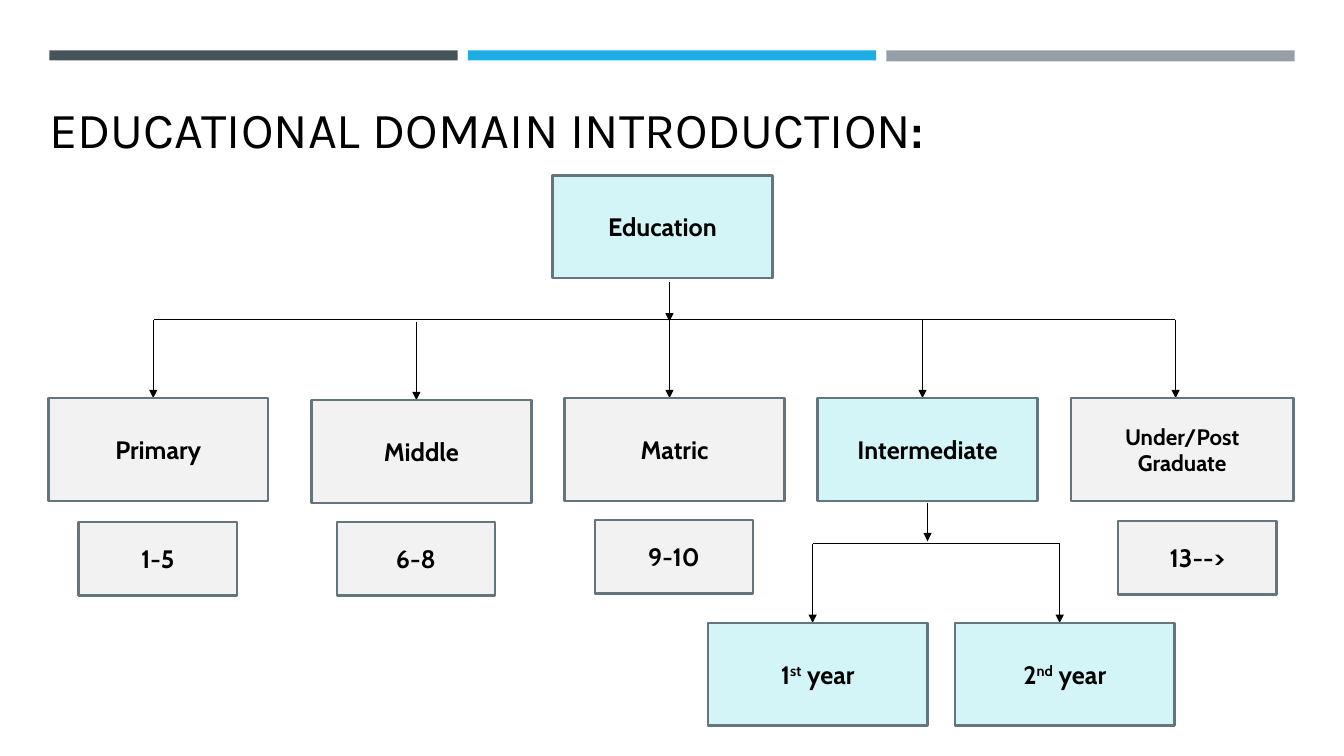
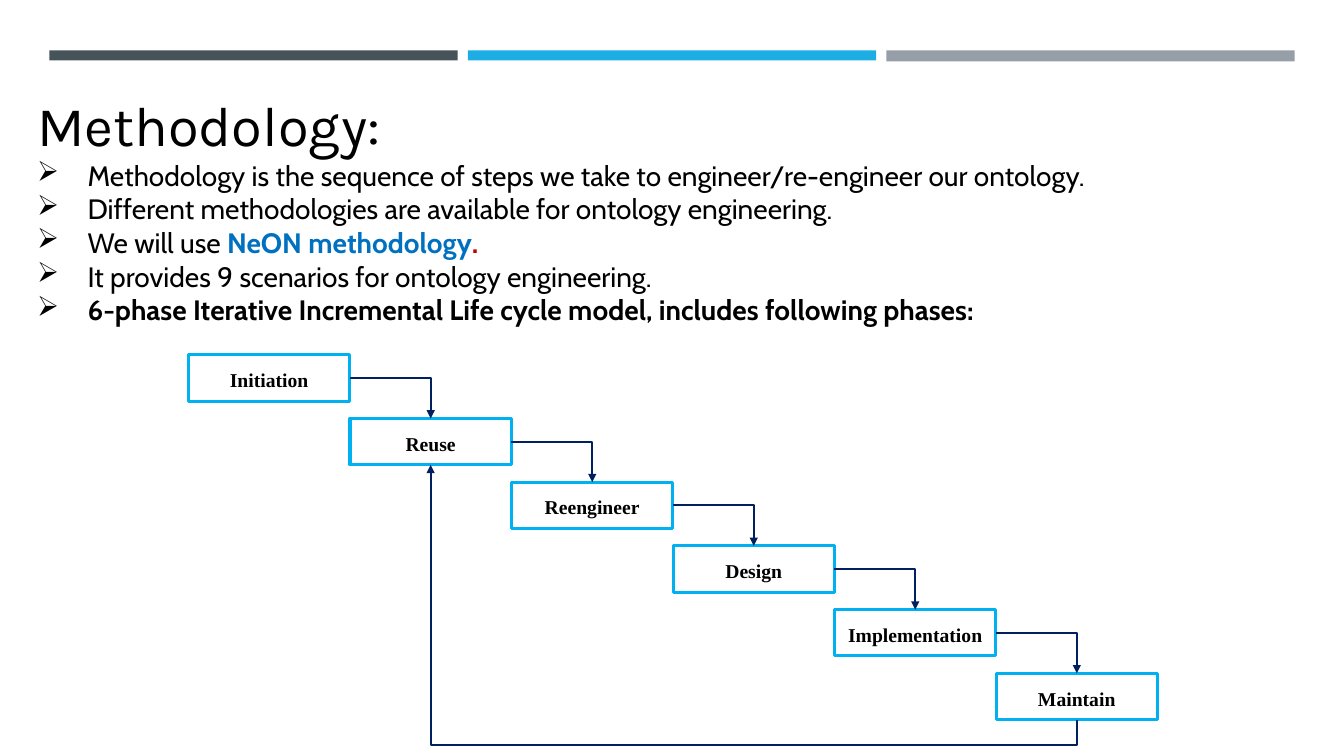
"""Build two slides: an education hierarchy and a methodology life cycle."""
from lxml import etree
from pptx import Presentation
from pptx.dml.color import RGBColor
from pptx.enum.shapes import MSO_CONNECTOR, MSO_SHAPE
from pptx.enum.text import MSO_ANCHOR, MSO_AUTO_SIZE, PP_ALIGN
from pptx.oxml.ns import qn
from pptx.util import Inches, Pt

RECTANGLE = MSO_SHAPE.RECTANGLE
STRAIGHT, ELBOW = MSO_CONNECTOR.STRAIGHT, MSO_CONNECTOR.ELBOW
TOP, MIDDLE = MSO_ANCHOR.TOP, MSO_ANCHOR.MIDDLE
LEFT, CENTER = PP_ALIGN.LEFT, PP_ALIGN.CENTER
NO_AUTOFIT = MSO_AUTO_SIZE.NONE
SITE_TOP, SITE_BOTTOM, SITE_RIGHT = 0, 2, 3

BLACK = RGBColor(0x00, 0x00, 0x00)
SLATE = RGBColor(0x46, 0x53, 0x59)
SKY = RGBColor(0x1C, 0xAD, 0xE4)
SILVER = RGBColor(0x96, 0x9F, 0xA7)
AQUA = RGBColor(0xD4, 0xF5, 0xF7)
PALE = RGBColor(0xF2, 0xF2, 0xF2)
OUTLINE = RGBColor(0x65, 0x75, 0x7D)
CYAN = RGBColor(0x00, 0xB0, 0xF0)
NAVY = RGBColor(0x00, 0x20, 0x60)
BLUE = RGBColor(0x00, 0x70, 0xC0)
RED = RGBColor(0xC0, 0x00, 0x00)
TITLE_FONT, BODY_FONT, PHASE_FONT = "Karla", "Cabin", "Times New Roman"

BANDS = [(SLATE, 0.1), (SKY, 0.1), (SILVER, 0.11)]
BAND_LEFT, BAND_TOP, BAND_WIDTH, BAND_PITCH = 0.49, 0.5, 4.05, 4.15

BOX_WIDTH, BOX_HEIGHT, ARROW_OFFSET, DROP = 2.18, 1.02, 1.04, 0.78
GRADE_WIDTH, GRADE_HEIGHT = 1.57, 0.73
ROOT = ("Education", 5.48, 1.74)
STAGES = [
    ("Primary", 0.48, 3.95, BOX_WIDTH, PALE, 18),
    ("Middle", 3.09, 3.97, BOX_WIDTH, PALE, 18),
    ("Matric", 5.6, 3.95, BOX_WIDTH, PALE, 18),
    ("Intermediate", 8.11, 3.95, BOX_WIDTH, AQUA, 18),
    ("Under/Post\nGraduate", 10.62, 3.95, 2.21, PALE, 16),
]
GRADES = [("1-5", 0.78, 5.18), ("6-8", 3.34, 5.18),
          ("9-10", 5.9, 5.16), ("13-->", 11.09, 5.17)]
YEARS = [("1", "st", 7.02), ("2", "nd", 9.47)]
YEAR_TOP = 6.18
STEMS = [(6.64, 2.8, 3.19), (9.2, 4.99, 5.37)]
BUSES = [(1.53, 11.65, 3.17), (8.06, 10.51, 5.39)]

POINTS = [
    [("Methodology is the sequence of steps we take to engineer/re-engineer our ontology.",
      BLACK, False)],
    [("Different methodologies are available for ontology engineering.", BLACK, False)],
    [("We will use ", BLACK, False), ("NeON methodology", BLUE, True), (".", RED, True)],
    [("It provides 9 scenarios for ontology engineering.", BLACK, False)],
    [("6-phase Iterative Incremental Life cycle model, includes following phases:",
      BLACK, True)],
]
PHASES = ["Initiation", "Reuse", "Reengineer", "Design", "Implementation", "Maintain"]
FIRST_PHASE, LAST_PHASE = (1.87, 3.52), (9.88, 6.68)
PHASE_WIDTH, PHASE_HEIGHT, LOOP_DEPTH = 1.6, 0.46, 0.25


def style(run, font, size, color=BLACK, bold=False):
    run.font.name, run.font.size, run.font.bold = font, Pt(size), bold
    run.font.color.rgb = color


def add_run(paragraph, text, *look):
    run = paragraph.add_run()
    run.text = text
    style(run, *look)
    return run


def add_box(slide, left, top, width, height, fill=None, line=None, weight=1.75):
    shape = slide.shapes.add_shape(RECTANGLE, Inches(left), Inches(top),
                                   Inches(width), Inches(height))
    shape.shadow.inherit = False
    if fill is None:
        shape.fill.background()
    else:
        shape.fill.solid()
        shape.fill.fore_color.rgb = fill
    if line is None:
        shape.line.fill.background()
    else:
        shape.line.color.rgb = line
        shape.line.width = Pt(weight)
    return shape


def set_label(shape, text, font, size):
    frame = shape.text_frame
    frame.text = text
    frame.word_wrap = True
    frame.vertical_anchor = MIDDLE
    for paragraph in frame.paragraphs:
        paragraph.alignment = CENTER
        for run in paragraph.runs:
            style(run, font, size, BLACK, True)
    return frame


def add_line(slide, kind, start, end, color, weight, arrow=True):
    connector = slide.shapes.add_connector(kind, *map(Inches, start + end))
    connector.line.color.rgb = color
    connector.line.width = Pt(weight)
    if arrow:
        line = connector.line._get_or_add_ln()
        etree.SubElement(line, qn("a:tailEnd"), type="triangle")
    etree.SubElement(connector.element.spPr, qn("a:effectLst"))
    return connector


def add_titled_slide(presentation, layout, left, top, height, runs):
    slide = presentation.slides.add_slide(layout)
    title = slide.shapes.title
    title.left, title.top = Inches(left), Inches(top)
    title.width, title.height = Inches(12.17), Inches(height)
    frame = title.text_frame
    frame.auto_size = NO_AUTOFIT
    frame.vertical_anchor = TOP
    frame.paragraphs[0].alignment = LEFT
    for run in runs:
        add_run(frame.paragraphs[0], *run)
    return slide


def move_bands_to_layout(slide, layout):
    for index, (color, height) in enumerate(BANDS):
        band = add_box(slide, BAND_LEFT + index * BAND_PITCH, BAND_TOP,
                       BAND_WIDTH, height, color)
        layout.element.cSld.spTree.append(band.element)


def draw_hierarchy(slide):
    def add_node(text, left, top, width, height, fill, size=18):
        box = add_box(slide, left, top, width, height, fill, OUTLINE)
        return set_label(box, text, BODY_FONT, size)

    def add_vertical(x, top, bottom):
        add_line(slide, STRAIGHT, (x, top), (x, bottom), BLACK, 1)

    name, left, top = ROOT
    add_node(name, left, top, BOX_WIDTH, BOX_HEIGHT, AQUA)
    for name, left, top, width, fill, size in STAGES:
        add_vertical(left + ARROW_OFFSET, top - DROP, top)
        add_node(name, left, top, width, BOX_HEIGHT, fill, size)
    for number, suffix, left in YEARS:
        add_vertical(left + ARROW_OFFSET, YEAR_TOP - DROP, YEAR_TOP)
        frame = add_node(number, left, YEAR_TOP, BOX_WIDTH, BOX_HEIGHT, AQUA)
        paragraph = frame.paragraphs[0]
        ordinal = add_run(paragraph, suffix, BODY_FONT, 18, BLACK, True)
        ordinal._r.get_or_add_rPr().set("baseline", "30000")
        add_run(paragraph, " year", BODY_FONT, 18, BLACK, True)
    for name, left, top in GRADES:
        add_node(name, left, top, GRADE_WIDTH, GRADE_HEIGHT, PALE)
    for x, top, bottom in STEMS:
        add_vertical(x, top, bottom)
    for left, right, y in BUSES:
        add_line(slide, STRAIGHT, (left, y), (right, y), BLACK, 1, False)


def draw_points(slide):
    box = slide.shapes.add_textbox(Inches(0.27), Inches(1.52), Inches(12.17), Inches(1.8))
    frame = box.text_frame
    frame.word_wrap = True
    for index, runs in enumerate(POINTS):
        paragraph = frame.add_paragraph() if index else frame.paragraphs[0]
        properties = paragraph._p.get_or_add_pPr()
        properties.set("marL", str(Inches(0.5)))
        properties.set("indent", str(-Inches(0.5)))
        etree.SubElement(properties, qn("a:buChar"), char="➢")
        for text, color, bold in runs:
            add_run(paragraph, text, BODY_FONT, 20, color, bold)


def draw_life_cycle(slide):
    steps = len(PHASES) - 1
    boxes = []
    for index, name in enumerate(PHASES):
        left, top = (first + (last - first) * index / steps
                     for first, last in zip(FIRST_PHASE, LAST_PHASE))
        box = add_box(slide, left, top, PHASE_WIDTH, PHASE_HEIGHT, None, CYAN, 2.25)
        paragraph = set_label(box, name, PHASE_FONT, 14).paragraphs[0]
        paragraph.line_spacing = 1.15
        paragraph.space_after = Pt(10)
        boxes.append(box)

    def link(source, source_site, target, target_site):
        connector = add_line(slide, ELBOW, (0, 0), (1, 1), NAVY, 1.5)
        connector.begin_connect(source, source_site)
        connector.end_connect(target, target_site)
        return connector, connector.element.spPr.find(qn("a:prstGeom"))

    for source, target in zip(boxes, boxes[1:]):
        geometry = link(source, SITE_RIGHT, target, SITE_TOP)[1]
        geometry.set("prst", "bentConnector2")

    loop, geometry = link(boxes[-1], SITE_BOTTOM, boxes[1], SITE_BOTTOM)
    across, rise = loop.width, loop.height
    loop.left += (across - rise) // 2
    loop.top += (rise - across) // 2
    loop.width, loop.height = rise, across
    transform = loop.element.spPr.find(qn("a:xfrm"))
    for name, value in (("rot", "5400000"), ("flipH", "1"), ("flipV", "0")):
        transform.set(name, value)
    bend = -round(100000 * Inches(LOOP_DEPTH) / rise)
    etree.SubElement(geometry.find(qn("a:avLst")), qn("a:gd"),
                     name="adj1", fmla=f"val {bend}")


def main():
    presentation = Presentation()
    presentation.slide_width, presentation.slide_height = Inches(13.33), Inches(7.5)
    layout = presentation.slide_layouts[5]
    education = add_titled_slide(
        presentation, layout, 0.39, 0.92, 0.75,
        [("EDUCATIONAL DOMAIN INTRODUCTION", TITLE_FONT, 36), (":", BODY_FONT, 36, BLACK, True)])
    move_bands_to_layout(education, layout)
    draw_hierarchy(education)
    methodology = add_titled_slide(presentation, layout, 0.27, 0.85, 0.7,
                                   [("Methodology:", TITLE_FONT, 40)])
    draw_points(methodology)
    draw_life_cycle(methodology)
    presentation.save("out.pptx")


main()
